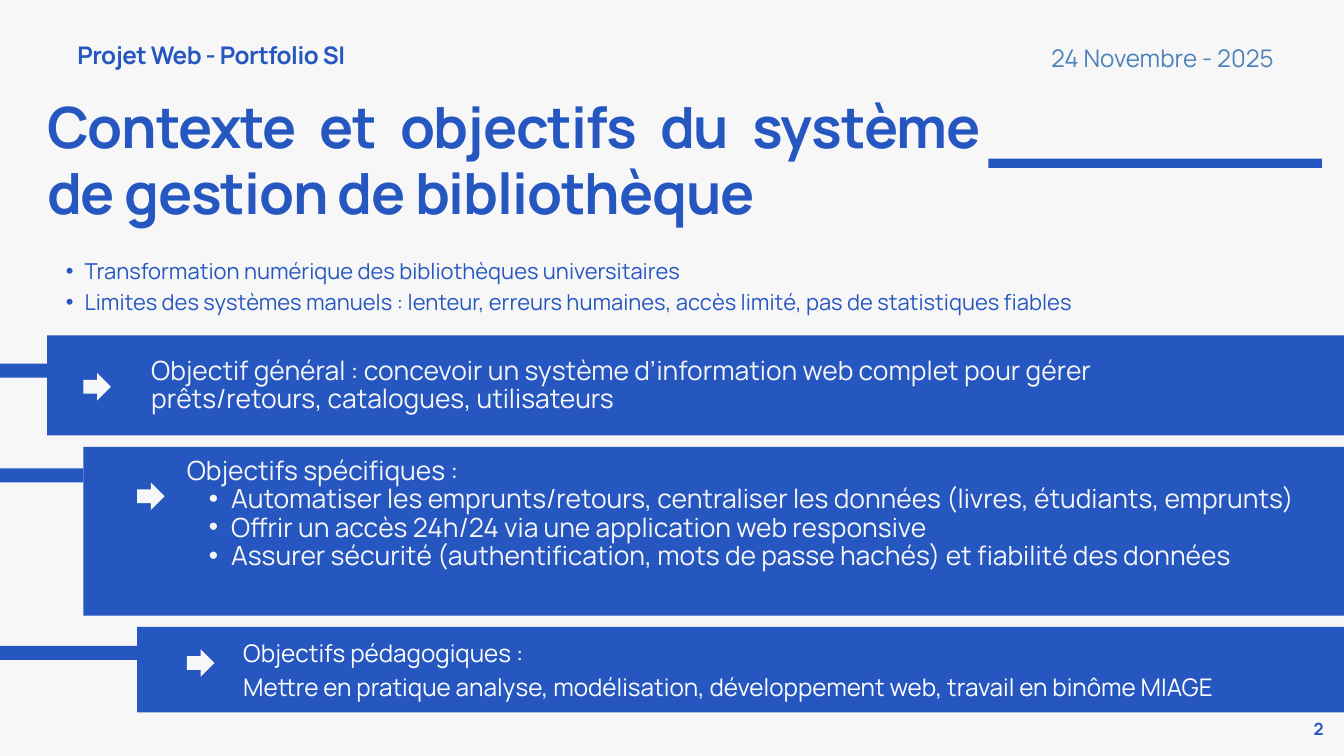
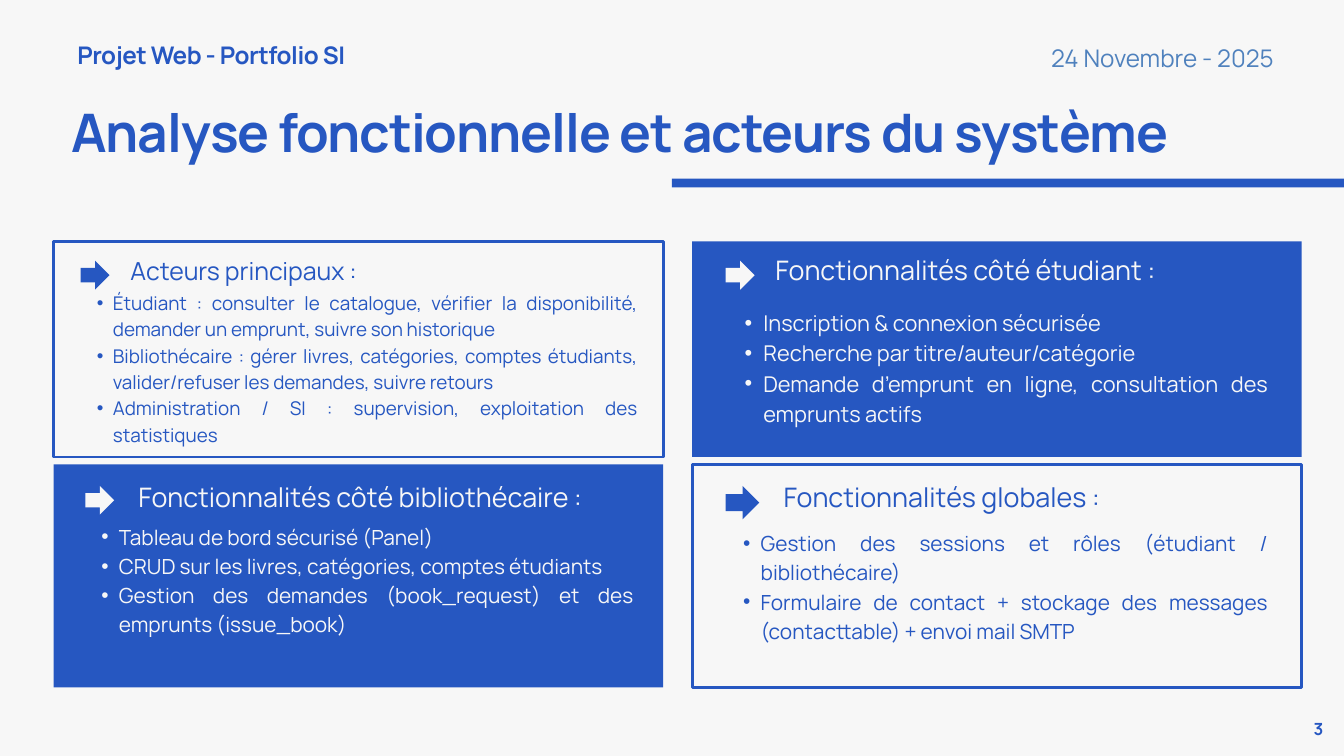
from lxml.etree import SubElement
from pptx import Presentation
from pptx.dml.color import RGBColor
from pptx.enum.shapes import MSO_SHAPE
from pptx.enum.text import MSO_ANCHOR, MSO_AUTO_SIZE, PP_ALIGN
from pptx.oxml.ns import qn
from pptx.util import Inches, Pt

BLUE, PAPER, WHITE, DATE_BLUE = "2657C1", "F7F7F7", "FFFFFF", "4F81BD"
FONT = "Manrope"
LEFT, CENTER, JUSTIFY = PP_ALIGN.LEFT, PP_ALIGN.CENTER, PP_ALIGN.JUSTIFY
PAGE_WIDTH, PAGE_HEIGHT = 20, 11.25


def rgb(hex_colour):
    return RGBColor.from_string(hex_colour)


class Deck:
    """Holds the style and the current slide."""

    def __init__(self):
        self.prs = Presentation()
        self.prs.slide_width = Inches(PAGE_WIDTH)
        self.prs.slide_height = Inches(PAGE_HEIGHT)
        background = self.prs.slide_master.background.fill
        background.solid()
        background.fore_color.rgb = rgb(PAPER)

    def new_slide(self, layout, number):
        self.slide = self.prs.slides.add_slide(self.prs.slide_layouts[layout])
        self.text((1.15, 0.52, 4.94, 0.5), ["Projet Web - Portfolio SI"], 26,
                  spacing=36.4, align=JUSTIFY, bold=True, tracking=-0.5)
        self.text((15.18, 0.57, 4.24, 0.5), ["24 Novembre - 2025"], 26,
                  DATE_BLUE, spacing=36.4, align=CENTER)
        self.text((19.55, 10.69, 0.23, 0.3), [str(number)], 18,
                  bold=True, tracking=-0.5)

    def shape(self, kind, box, fill, outline=None):
        shape = self.slide.shapes.add_shape(kind, *map(Inches, box))
        shape.shadow.inherit = False
        shape.fill.solid()
        shape.fill.fore_color.rgb = rgb(fill)
        if outline:
            shape.line.color.rgb = rgb(outline)
            shape.line.width = Pt(3)
        else:
            shape.line.fill.background()

    def bar(self, box, fill=BLUE, outline=None):
        self.shape(MSO_SHAPE.RECTANGLE, box, fill, outline)

    def arrow(self, left, top, size, fill):
        self.shape(MSO_SHAPE.RIGHT_ARROW, (left, top, size, size), fill)

    def text(self, box, lines, size, colour=BLUE, **style):
        holder = self.slide.shapes.add_textbox(*map(Inches, box))
        self.fill_text(holder, lines, size, colour, **style)

    def title(self, box, words, size, spacing, tracking):
        self.placeholder(0, box, [words], size, BLUE, spacing=spacing,
                         align=JUSTIFY, bold=True, tracking=tracking)

    def placeholder(self, idx, box, lines, size, colour, **style):
        holder = self.slide.placeholders[idx]
        holder.left, holder.top, holder.width, holder.height = map(Inches, box)
        # Bring the text in front of the panels drawn so far
        holder.element.getparent().append(holder.element)
        self.fill_text(holder, lines, size, colour, **style)

    def fill_text(self, holder, lines, size, colour, spacing=None, align=LEFT,
                  bold=False, tracking=0, hang=0, plain_lines=0):
        """Write lines; with a hang, those after plain_lines get bullets."""
        frame = holder.text_frame
        frame.word_wrap = True
        frame.auto_size = MSO_AUTO_SIZE.NONE
        frame.vertical_anchor = MSO_ANCHOR.TOP
        frame.margin_left = frame.margin_right = 0
        frame.margin_top = frame.margin_bottom = 0
        for position, words in enumerate(lines):
            paragraph = frame.paragraphs[0] if position == 0 else frame.add_paragraph()
            paragraph.alignment = align
            paragraph.space_before = Pt(0)
            if spacing:
                paragraph.line_spacing = Pt(spacing)
            if hang and position >= plain_lines:
                self.bullet(paragraph, hang)
            run = paragraph.add_run()
            run.text = words
            font = run.font
            font.name, font.size, font.bold = FONT, Pt(size), bold
            font.color.rgb = rgb(colour)
            if tracking:
                font._element.set("spc", str(round(tracking * 100)))

    def bullet(self, paragraph, hang):
        paragraph.level = 1
        props = paragraph._p.get_or_add_pPr()
        props.set("marL", str(Inches(2 * hang)))
        props.set("indent", str(-Inches(hang)))
        SubElement(props, qn("a:buFont")).set("typeface", "Arial")
        SubElement(props, qn("a:buChar")).set("char", "•")


def build_context(deck):
    deck.new_slide(layout=1, number=2)
    deck.bar((14.71, 2.36, 4.96, 0.14))
    deck.title((0.7, 1.39, 13.88, 2.03),
               "Contexte et objectifs du système de gestion de bibliothèque",
               60.9, 70.7, -1.2)
    deck.placeholder(1, (0.7, 3.77, 17, 0.9), [
        "Transformation numérique des bibliothèques universitaires",
        "Limites des systèmes manuels : lenteur, erreurs humaines, accès limité, "
        "pas de statistiques fiables",
    ], 23.5, BLUE, spacing=32.9, hang=0.28)

    # Objective bands: left, top, height, stub top, arrow, text box, lines, style
    bands = [
        (0.7, 4.99, 1.49, 5.41, (1.24, 5.55), (2.25, 5.32, 15.3, 0.88), [
            "Objectif général : concevoir un système d’information web complet "
            "pour gérer prêts/retours, catalogues, utilisateurs",
        ], dict(size=28.3, colour=PAPER, spacing=30.3)),
        (1.24, 6.65, 2.51, 6.97, (2.04, 7.18), (2.78, 6.81, 17.22, 2.3), [
            "Objectifs spécifiques :",
            "Automatiser les emprunts/retours, centraliser les données "
            "(livres, étudiants, emprunts)",
            "Offrir un accès 24h/24 via une application web responsive",
            "Assurer sécurité (authentification, mots de passe hachés) "
            "et fiabilité des données",
        ], dict(size=28.3, colour=PAPER, spacing=30.3, hang=0.33, plain_lines=1)),
        (2.04, 9.33, 1.27, 9.61, (2.78, 9.66), (3.62, 9.43, 15.86, 1), [
            "Objectifs pédagogiques :",
            "Mettre en pratique analyse, modélisation, développement web, "
            "travail en binôme MIAGE",
        ], dict(size=26, colour=WHITE, spacing=36.4)),
    ]
    for left, top, height, stub_top, arrow, box, lines, style in bands:
        deck.bar((0, stub_top, left, 0.21))
        deck.bar((left, top, PAGE_WIDTH - left, height))
        deck.arrow(*arrow, 0.41, PAPER)
        deck.text(box, lines, **style)


def build_analysis(deck):
    deck.new_slide(layout=4, number=3)
    deck.bar((10, 2.66, 10, 0.13))
    deck.title((1.06, 1.32, 17.75, 1.13),
               "Analyse fonctionnelle et acteurs du système", 56.9, 79.7, -1.1)

    # Cards, row by row: arrow, heading and its box, list and its box
    cards = [
        ((1.2, 3.88, 0.43), "Acteurs principaux :", (1.94, 4.01, 5.46, 0.31),
         26.6, 17, (1.2, 4.28, 8.28, 2.5), 20.2, 28.3, 0.24, [
            "Étudiant : consulter le catalogue, vérifier la disponibilité, "
            "demander un emprunt, suivre son historique",
            "Bibliothécaire : gérer livres, catégories, comptes étudiants, "
            "valider/refuser les demandes, suivre retours",
            "Administration / SI : supervision, exploitation des statistiques",
        ]),
        ((10.8, 3.88, 0.43), "Fonctionnalités côté étudiant :", (11.54, 4, 7.29, 0.32),
         28.8, 18.4, (10.8, 4.54, 8.07, 2.24), 23.3, 32.6, 0.28, [
            "Inscription & connexion sécurisée",
            "Recherche par titre/auteur/catégorie",
            "Demande d’emprunt en ligne, consultation des emprunts actifs",
        ]),
        ((1.27, 7.23, 0.43), "Fonctionnalités côté bibliothécaire :",
         (2.06, 7.38, 7.21, 0.32),
         28.8, 18.4, (1.25, 7.74, 8.18, 2.45), 22.3, 31.2, 0.26, [
            "Tableau de bord sécurisé (Panel)",
            "CRUD sur les livres, catégories, comptes étudiants",
            "Gestion des demandes (book_request) et des emprunts (issue_book)",
        ]),
        ((10.8, 7.23, 0.5), "Fonctionnalités globales :", (11.66, 7.38, 6.24, 0.32),
         28.8, 18.4, (10.8, 7.84, 8.07, 2.15), 22.3, 31.2, 0.26, [
            "Gestion des sessions et rôles (étudiant / bibliothécaire)",
            "Formulaire de contact + stockage des messages (contacttable) "
            "+ envoi mail SMTP",
        ]),
    ]
    rows = [(3.59, 3.21), (6.91, 3.32)]
    for index, (arrow, heading, heading_box, heading_size, heading_spacing,
                list_box, list_size, list_spacing, hang, items) in enumerate(cards):
        row, column = divmod(index, 2)
        top, height = rows[row]
        outlined = row == column
        fill, ink = (PAPER, BLUE) if outlined else (BLUE, PAPER)
        deck.bar((0.8 + 9.5 * column, top, 9.07, height), fill,
                 BLUE if outlined else None)
        deck.arrow(*arrow, ink)
        deck.text(heading_box, [heading], heading_size, ink,
                  spacing=heading_spacing, align=JUSTIFY)
        deck.placeholder(index + 1, list_box, items, list_size, ink,
                         spacing=list_spacing, align=JUSTIFY, hang=hang)


def main():
    deck = Deck()
    build_context(deck)
    build_analysis(deck)
    deck.prs.save("out.pptx")


if __name__ == "__main__":
    main()
